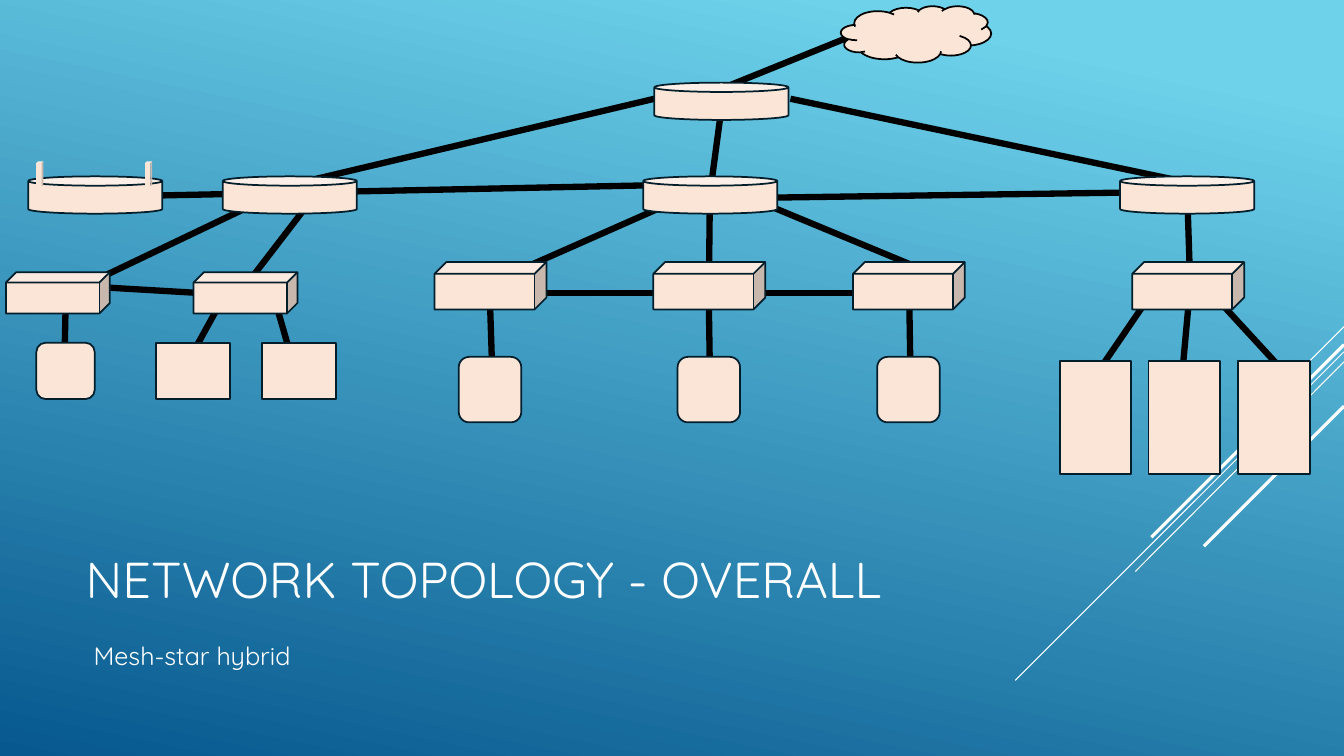
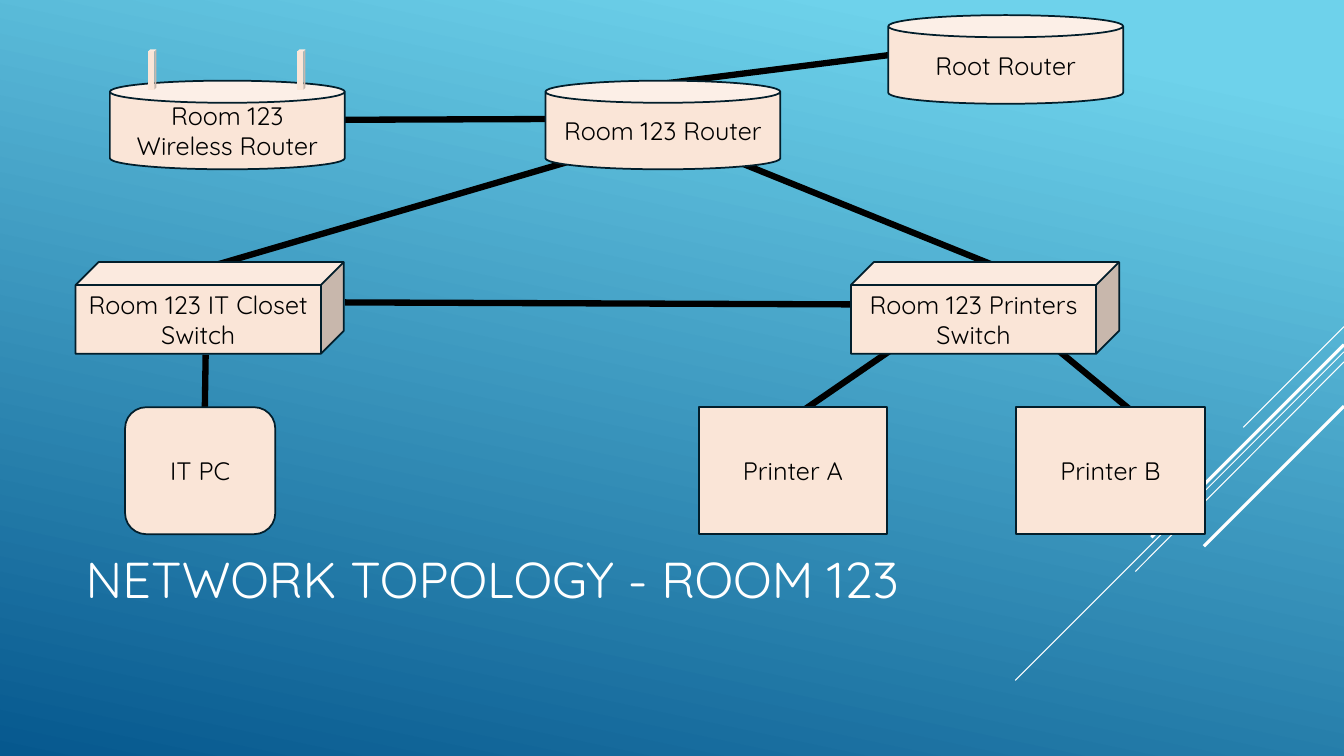
from lxml import etree
from pptx import Presentation
from pptx.dml.color import RGBColor
from pptx.enum.shapes import MSO_CONNECTOR, MSO_SHAPE
from pptx.enum.text import MSO_ANCHOR, MSO_AUTO_SIZE, PP_ALIGN
from pptx.oxml.ns import qn
from pptx.util import Inches, Pt

STRAIGHT = MSO_CONNECTOR.STRAIGHT
CAN, CUBE, CLOUD = MSO_SHAPE.CAN, MSO_SHAPE.CUBE, MSO_SHAPE.CLOUD
PC, BOX = MSO_SHAPE.FLOWCHART_ALTERNATE_PROCESS, MSO_SHAPE.RECTANGLE
LEFT, CENTER = PP_ALIGN.LEFT, PP_ALIGN.CENTER
MIDDLE, TOP = MSO_ANCHOR.MIDDLE, MSO_ANCHOR.TOP

FONT = "Quicksand"
COLORS = {
    "sky": "6ED2EB",
    "deep": "06588E",
    "white": "FFFFFF",
    "black": "000000",
    "device": "FAE5D7",
    "outline": "021E2B",
}
TITLE_AT = (0.75, 4.91, 9.33, 1.65)

# Diagonal rays at the right edge: start y, end x, end y, width
RAYS = [
    (3.24, 12.33, 4.24, 0.75),
    (3.49, 10.07, 6.75, 0.75),
    (3.59, 11.26, 5.67, 0.75),
    (3.42, 11.42, 5.33, 2.25),
    (4.03, 11.94, 5.42, 2.25),
]

# Device rows: shape, top, width, height, outline, [(left, label), ...]
# Links: x1, y1, x2, y2
SLIDES = [
    {
        "title": "NETWORK TOPOLOGY - OVERALL",
        "subtitle": "Mesh-star hybrid",
        "links": [
            # Root router
            (8.44, 0.36, 7.18, 0.87), (6.49, 0.98, 2.69, 1.88),
            (7.14, 1.19, 7.05, 1.86), (7.84, 0.98, 11.78, 1.81),
            # Between room routers
            (1.55, 1.94, 6.38, 1.84), (7.71, 1.96, 11.21, 1.91),
            # Left room
            (2.43, 2.07, 0.61, 2.94), (3.03, 2.06, 2.5, 2.75),
            (0.84, 2.84, 2.03, 2.91), (0.65, 3.07, 0.64, 3.55),
            (2.15, 3.07, 1.88, 3.56), (2.75, 3.06, 2.92, 3.65),
            # Middle room
            (6.53, 2.07, 4.9, 2.79), (7.04, 2.01, 7.03, 2.94),
            (7.6, 2.03, 9.07, 2.64), (6.61, 2.91, 5.32, 2.91),
            (8.7, 2.91, 7.41, 2.91), (4.86, 3, 4.88, 3.62),
            (7.03, 3, 7.04, 3.62), (9.02, 3.07, 9.03, 3.69),
            # Right room
            (11.78, 2.07, 11.8, 2.69), (11.34, 3.03, 10.93, 3.63),
            (11.79, 3, 11.73, 3.66), (12.13, 3.03, 12.7, 3.65),
        ],
        "devices": [
            (CLOUD, 0.06, 1.49, 0.56, "black", [(8.34, "")]),
            (CAN, 0.82, 1.33, 0.37, "outline", [(6.49, "")]),
            (CAN, 1.75, 1.33, 0.37, "outline",
             [(0.28, ""), (2.21, ""), (6.38, ""), (11.11, "")]),
            (CUBE, 1.6, 0.07, 0.25, None, [(0.36, ""), (1.44, "")]),
            (CUBE, 2.7, 1.03, 0.41, "outline", [(0.06, ""), (1.92, "")]),
            (CUBE, 2.6, 1.11, 0.47, "outline",
             [(4.31, ""), (6.48, ""), (8.46, ""), (11.23, "")]),
            (PC, 3.4, 0.58, 0.56, "outline", [(0.36, "")]),
            (BOX, 3.4, 0.73, 0.56, "outline", [(1.55, ""), (2.6, "")]),
            (PC, 3.54, 0.62, 0.65, "outline",
             [(4.55, ""), (6.72, ""), (8.7, "")]),
            (BOX, 3.58, 0.71, 1.12, "outline",
             [(10.51, ""), (11.39, ""), (12.28, "")]),
        ],
    },
    {
        "title": "NETWORK TOPOLOGY - ROOM 123",
        "links": [
            (8.87, 0.54, 6.58, 0.83), (5.69, 1.18, 3.03, 1.19),
            (5.62, 1.61, 2, 2.67), (7.33, 1.61, 9.95, 2.67),
            (8.44, 3.02, 3.42, 3), (2.04, 3.52, 2.03, 4.14),
            (8.9, 3.43, 7.94, 4.09), (10.44, 3.43, 11.24, 4.09),
        ],
        "devices": [
            (CAN, 0.15, 2.33, 0.88, "outline", [(8.81, "Root Router")]),
            (CAN, 0.8, 2.33, 0.88, "outline",
             [(1.09, "Room 123 Wireless Router"), (5.41, "Room 123 Router")]),
            (CUBE, 0.49, 0.08, 0.4, None, [(1.47, ""), (2.95, "")]),
            (CUBE, 2.6, 2.66, 0.91, "outline",
             [(0.75, "Room 123 IT Closet Switch"),
              (8.44, "Room 123 Printers Switch")]),
            (PC, 4.04, 1.49, 1.26, "outline", [(1.24, "IT PC")]),
            (BOX, 4.04, 1.87, 1.26, "outline",
             [(6.93, "Printer A"), (10.08, "Printer B")]),
        ],
    },
]


def rgb(name):
    return RGBColor.from_string(COLORS[name])


def write(sp, text, size, color, align, anchor, fit=MSO_AUTO_SIZE.NONE):
    tf = sp.text_frame
    frame_format = {"word_wrap": True, "auto_size": fit, "vertical_anchor": anchor}
    for name, value in frame_format.items():
        setattr(tf, name, value)
    p = tf.paragraphs[0]
    p.alignment = align
    r = p.add_run()
    r.text = text
    for name, value in {"name": FONT, "size": Pt(size)}.items():
        setattr(r.font, name, value)
    r.font.color.rgb = rgb(color)


def add_line(s, ends, color, width):
    line = s.shapes.add_connector(STRAIGHT, *map(Inches, ends))
    line.line.color.rgb = rgb(color)
    line.line.width = Pt(width)
    etree.SubElement(line.element.spPr, qn("a:effectLst"))
    return line


def add_device(s, kind, at, outline, label):
    sp = s.shapes.add_shape(kind, *map(Inches, at))
    sp.shadow.inherit = False
    sp.fill.solid()
    sp.fill.fore_color.rgb = rgb("device")
    if outline:
        sp.line.color.rgb = rgb(outline)
        sp.line.width = Pt(1.25)
    else:
        sp.line.fill.background()
    if label:
        write(sp, label, 18, "black", CENTER, MIDDLE)


def set_background(master):
    fill = master.background.fill
    fill.gradient()
    fill.gradient_angle = 258
    for stop, (color, position) in zip(fill.gradient_stops, [("sky", 0.1), ("deep", 1)]):
        stop.color.rgb = rgb(color)
        stop.position = position


def add_rays(s, layout):
    """Draw the rays and hand them to the layout that all slides share."""
    for y1, x2, y2, width in RAYS:
        ray = add_line(s, (13.33, y1, x2, y2), "white", width)
        layout.shapes.element.append(ray.element)


def build_slide(s, content):
    # Title
    title = s.shapes.title
    for name, value in zip(("left", "top", "width", "height"), TITLE_AT):
        setattr(title, name, Inches(value))
    write(title, content["title"], 36, "white", LEFT, MIDDLE)
    # Links lie behind the devices
    for ends in content["links"]:
        add_line(s, ends, "black", 4.5)
    for kind, top, width, height, outline, items in content["devices"]:
        for left, label in items:
            add_device(s, kind, (left, top, width, height), outline, label)
    # Subtitle
    if "subtitle" in content:
        sp = s.shapes.add_textbox(*map(Inches, (0.83, 6.3, 5.38, 0.4)))
        write(sp, content["subtitle"], 18, "white", LEFT, TOP,
              MSO_AUTO_SIZE.SHAPE_TO_FIT_TEXT)


def main():
    prs = Presentation()
    prs.slide_width, prs.slide_height = Inches(13.33), Inches(7.5)
    layout = prs.slide_layouts.get_by_name("Title Only")
    set_background(prs.slide_master)
    slides = [prs.slides.add_slide(layout) for _ in SLIDES]
    add_rays(slides[0], layout)
    for s, content in zip(slides, SLIDES):
        build_slide(s, content)
    prs.save("out.pptx")


if __name__ == "__main__":
    main()
